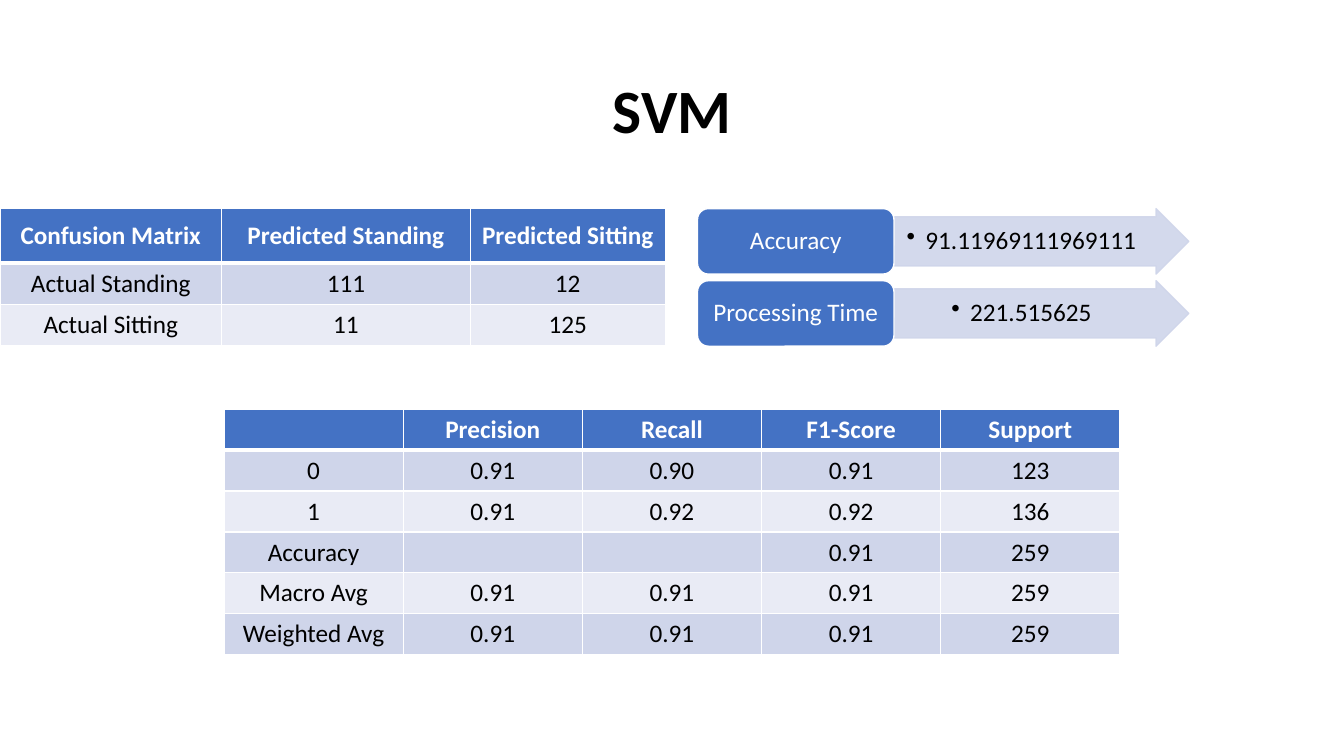
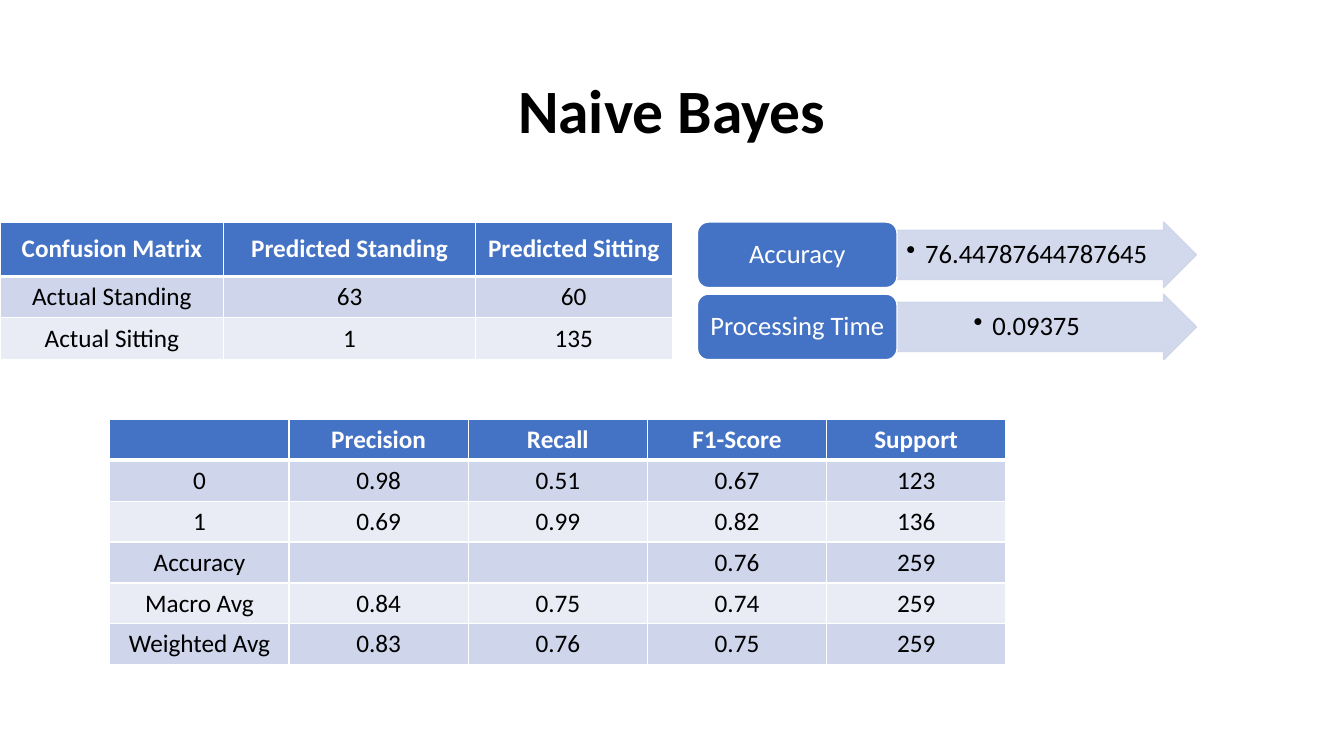
from dataclasses import dataclass

from lxml import etree
from pptx import Presentation
from pptx.dml.color import RGBColor
from pptx.enum.shapes import MSO_SHAPE
from pptx.enum.text import MSO_ANCHOR, PP_ALIGN
from pptx.oxml.ns import qn
from pptx.shapes.autoshape import Shape
from pptx.slide import Slide
from pptx.table import _Cell
from pptx.text.text import _Paragraph
from pptx.util import Pt

ROUNDED, ARROW = MSO_SHAPE.ROUNDED_RECTANGLE, MSO_SHAPE.RIGHT_ARROW
MIDDLE, CENTER = MSO_ANCHOR.MIDDLE, PP_ALIGN.CENTER
TITLE_ONLY = 5


@dataclass(frozen=True)
class Theme:
    font: str = "Calibri"
    accent: str = "4472C4"
    band: str = "CFD5EA"
    light_band: str = "E9EBF5"
    white: str = "FFFFFF"
    black: str = "000000"
    title_size: float = 44
    table_size: float = 18


@dataclass(frozen=True)
class Report:
    title: str
    top: float
    matrix_width: float
    matrix: tuple[tuple[str, str], tuple[str, str]]
    summary_width: float
    summary_size: float
    accuracy: str
    time: str
    metrics_left: float
    metrics_top: float
    metrics: tuple[tuple[str, ...], ...]


THEME = Theme()
MATRIX_HEADER = ("Confusion Matrix", "Predicted Standing", "Predicted Sitting")
MATRIX_LABELS = ("Actual Standing", "Actual Sitting")
MATRIX_SHARES = (0.333, 0.374, 0.293)
MATRIX_HEIGHTS = (39, 29.5, 29.5)
METRICS_HEADER = ("", "Precision", "Recall", "F1-Score", "Support")
METRICS_LABELS = ("0", "1", "Accuracy", "Macro Avg", "Weighted Avg")
METRICS_COLUMN, METRICS_ROW = 128, 29.25
SUMMARY_LEFT, SUMMARY_HEIGHT, SUMMARY_PITCH = 498.2, 46.8, 51.5
LABEL_SHARE = 0.4
BULLET_INDENT = 13.5

REPORTS = (
    Report("SVM", 149, 475.2, (("111", "12"), ("11", "125")),
           351, 18, "91.11969111969111", "221.515625", 160, 292.3,
           (("0.91", "0.90", "0.91", "123"),
            ("0.91", "0.92", "0.92", "136"),
            ("", "", "0.91", "259"),
            ("0.91", "0.91", "0.91", "259"),
            ("0.91", "0.91", "0.91", "259"))),
    Report("Naive Bayes", 158.6, 480.2, (("63", "60"), ("1", "135")),
           356.4, 19, "76.44787644787645", "0.09375", 78.5, 299.5,
           (("0.98", "0.51", "0.67", "123"),
            ("0.69", "0.99", "0.82", "136"),
            ("", "", "0.76", "259"),
            ("0.84", "0.75", "0.74", "259"),
            ("0.83", "0.76", "0.75", "259"))),
)


def rgb(color: str) -> RGBColor:
    return RGBColor.from_string(color)


def format_paragraph(p: _Paragraph, size: float, color: str, bold: bool = False) -> None:
    p.alignment = CENTER
    p.font.name = THEME.font
    p.font.size = Pt(size)
    p.font.bold = bold
    p.font.color.rgb = rgb(color)


def set_borders(cell: _Cell, top: float, bottom: float) -> None:
    tc_pr = cell._tc.get_or_add_tcPr()
    for side, width in (("L", 1), ("R", 1), ("T", top), ("B", bottom)):
        ln = etree.SubElement(tc_pr, qn(f"a:ln{side}"), w=str(Pt(width)))
        fill = etree.SubElement(ln, qn("a:solidFill"))
        etree.SubElement(fill, qn("a:srgbClr"), val=THEME.white)


def add_grid(s: Slide, left: float, top: float, widths: list[float],
             heights: tuple[float, ...], rows: list[tuple[str, ...]]) -> None:
    table = s.shapes.add_table(len(rows), len(widths), Pt(left), Pt(top),
                               Pt(sum(widths)), Pt(sum(heights))).table
    for column, width in zip(table.columns, widths):
        column.width = Pt(width)
    for i, (texts, height) in enumerate(zip(rows, heights)):
        table.rows[i].height = Pt(height)
        header = i == 0
        band = THEME.band if i % 2 else THEME.light_band
        for j, text in enumerate(texts):
            cell = table.cell(i, j)
            set_borders(cell, 3 if i == 1 else 1, 3 if header else 1)
            cell.fill.solid()
            cell.fill.fore_color.rgb = rgb(THEME.accent if header else band)
            cell.vertical_anchor = MIDDLE
            cell.text = text
            format_paragraph(cell.text_frame.paragraphs[0], THEME.table_size,
                             THEME.white if header else THEME.black, header)


def add_box(s: Slide, kind: MSO_SHAPE, left: float, top: float, width: float,
            text: str, size: float, fill: str, line: str, color: str) -> Shape:
    sp = s.shapes.add_shape(kind, Pt(left), Pt(top), Pt(width), Pt(SUMMARY_HEIGHT))
    sp.shadow.inherit = False
    sp.fill.solid()
    sp.fill.fore_color.rgb = rgb(fill)
    sp.line.color.rgb = rgb(line)
    sp.line.width = Pt(1)
    tf = sp.text_frame
    tf.word_wrap = True
    tf.vertical_anchor = MIDDLE
    tf.margin_left = tf.margin_right = Pt(5)
    tf.margin_top = tf.margin_bottom = Pt(1)
    p = tf.paragraphs[0]
    p.text = text
    p.line_spacing = 0.9
    format_paragraph(p, size, color)
    return sp


def add_bullet(p: _Paragraph) -> None:
    p_pr = p._p.get_or_add_pPr()
    p_pr.set("marL", str(Pt(BULLET_INDENT)))
    p_pr.set("indent", str(-Pt(BULLET_INDENT)))
    bullet = etree.Element(qn("a:buChar"), char="•")
    p_pr.find(qn("a:defRPr")).addprevious(bullet)


def add_measure(s: Slide, top: float, width: float, size: float,
                label: str, value: str) -> None:
    label_width = width * LABEL_SHARE
    arrow = add_box(s, ARROW, SUMMARY_LEFT + label_width, top, width - label_width,
                    value, size, THEME.band, THEME.band, THEME.black)
    arrow.adjustments[0] = 0.75
    arrow.adjustments[1] = 0.5
    for color in arrow._element.spPr.iter(qn("a:srgbClr")):
        etree.SubElement(color, qn("a:alpha"), val="90000")
    tf = arrow.text_frame
    tf.margin_left, tf.margin_right = Pt(1), Pt(12)
    add_bullet(tf.paragraphs[0])
    add_box(s, ROUNDED, SUMMARY_LEFT, top, label_width, label, size,
            THEME.accent, THEME.white, THEME.white)


def add_title(s: Slide, text: str) -> None:
    title = s.shapes.title
    title.left, title.top, title.width, title.height = Pt(66), Pt(28.8), Pt(828), Pt(104.4)
    tf = title.text_frame
    tf.vertical_anchor = MIDDLE
    p = tf.paragraphs[0]
    p.text = text
    p.line_spacing = 0.9
    format_paragraph(p, THEME.title_size, THEME.black, True)


def add_report(prs: Presentation, report: Report) -> None:
    s = prs.slides.add_slide(prs.slide_layouts[TITLE_ONLY])
    add_title(s, report.title)
    measures = (("Accuracy", report.accuracy), ("Processing Time", report.time))
    for i, (label, value) in enumerate(measures):
        add_measure(s, report.top + i * SUMMARY_PITCH, report.summary_width,
                    report.summary_size, label, value)
    matrix = [(label, *row) for label, row in zip(MATRIX_LABELS, report.matrix)]
    add_grid(s, 0, report.top, [report.matrix_width * share for share in MATRIX_SHARES],
             MATRIX_HEIGHTS, [MATRIX_HEADER, *matrix])
    metrics = [(label, *row) for label, row in zip(METRICS_LABELS, report.metrics)]
    rows = [METRICS_HEADER, *metrics]
    add_grid(s, report.metrics_left, report.metrics_top,
             [METRICS_COLUMN] * len(METRICS_HEADER), (METRICS_ROW,) * len(rows), rows)


prs = Presentation()
prs.slide_width, prs.slide_height = Pt(960), Pt(540)
for report in REPORTS:
    add_report(prs, report)
prs.save("out.pptx")
